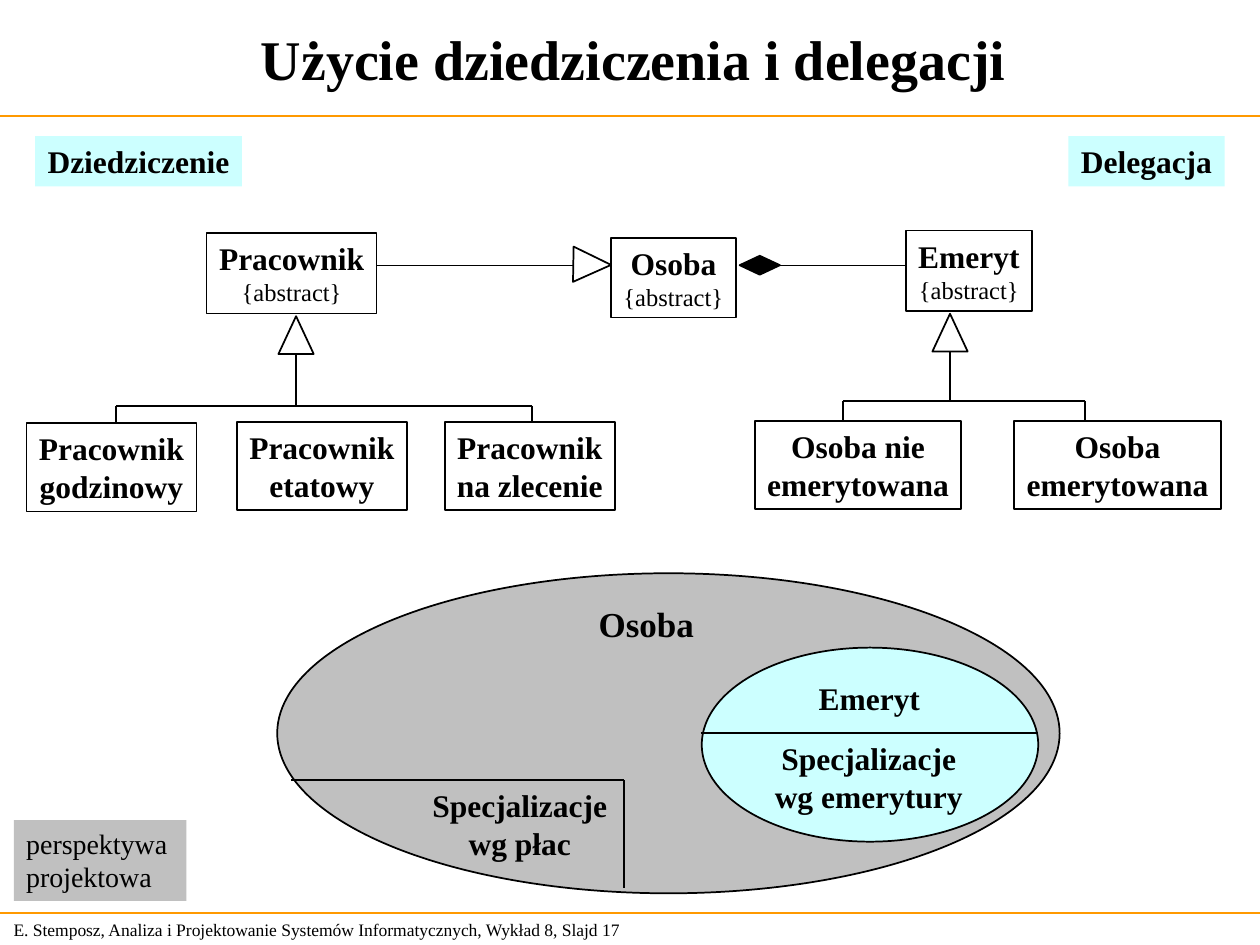
import collections

import lxml.etree
import pptx
import pptx.dml.color
import pptx.enum.shapes
import pptx.enum.text
import pptx.oxml.ns
import pptx.util

COLORS = {"ink": "000000", "paper": "FFFFFF", "rule": "FF9900",
          "aqua": "CCFFFF", "gray": "C0C0C0"}
FONT = "Times New Roman"
CELL = pptx.util.Inches(0.1)  # the slide is a grid of 100 columns by 75 rows
COLUMNS, ROWS = 100, 75

SHAPE = pptx.enum.shapes.MSO_SHAPE
ALIGN = pptx.enum.text.PP_ALIGN
ANCHOR = pptx.enum.text.MSO_ANCHOR
Box = collections.namedtuple("Box", "left top width height")


def color(name):
    return pptx.dml.color.RGBColor.from_string(COLORS[name])


def cells(*values):
    return [round(value * CELL) for value in values]


def inside(box, left, top, width, height):
    """Box measured from the corner of another box."""
    return Box(box.left + left, box.top + top, width, height)


def write(shape, lines, sizes, bolds, align=ALIGN.CENTER, anchor=ANCHOR.TOP, wrap=False):
    frame = shape.text_frame
    frame.word_wrap = wrap
    frame.vertical_anchor = anchor
    frame.text = "\n".join(lines)
    for paragraph, size, bold in zip(frame.paragraphs, sizes, bolds):
        paragraph.alignment = align
        paragraph.font.name = FONT
        paragraph.font.size = pptx.util.Pt(size)
        paragraph.font.bold = bold
        paragraph.font.color.rgb = color("ink")


def add_figure(slide, kind, box, fill="paper", line=1):
    shape = slide.shapes.add_shape(kind, *cells(*box))
    shape.shadow.inherit = False
    shape.fill.solid()
    shape.fill.fore_color.rgb = color(fill)
    if line:
        shape.line.color.rgb = color("ink")
        shape.line.width = pptx.util.Pt(line)
    else:
        shape.line.fill.background()
    return shape


def add_line(slide, box, start, end, width=1, ink="ink"):
    """Straight line between two points measured from the box corner."""
    points = [box.left + start[0], box.top + start[1], box.left + end[0], box.top + end[1]]
    connector = slide.shapes.add_connector(
        pptx.enum.shapes.MSO_CONNECTOR.STRAIGHT, *cells(*points))
    connector.line.color.rgb = color(ink)
    connector.line.width = pptx.util.Pt(width)
    lxml.etree.SubElement(connector._element.spPr, pptx.oxml.ns.qn("a:effectLst"))
    return connector


def add_label(slide, box, lines, size=18, fill=None, bold=True, align=ALIGN.CENTER):
    if fill:
        shape = add_figure(slide, SHAPE.RECTANGLE, box, fill, line=None)
    else:
        shape = slide.shapes.add_textbox(*cells(*box))
    write(shape, lines, [size] * len(lines), [bold] * len(lines), align)


def add_class(slide, box, lines, line=1, abstract=False):
    shape = add_figure(slide, SHAPE.RECTANGLE, box, line=line)
    second = (14, False) if abstract else (18, True)
    write(shape, lines, [18, second[0]], [True, second[1]])


def build_header(slide, box):
    title = slide.shapes.title
    title.left, title.top, title.width, title.height = cells(
        *inside(box, 8.9, 0, 82.8, box.height))
    write(title, ["Użycie dziedziczenia i delegacji"], [32], [True],
          anchor=ANCHOR.MIDDLE, wrap=True)
    add_line(slide, box, (0, box.height), (box.width, box.height), 0.75, "rule")


def build_footer(slide, box):
    add_line(slide, box, (0, 0), (box.width, 0), 0.75, "rule")
    add_label(slide, inside(box, 0.1, 0, 52.4, box.height),
              ["E. Stemposz, Analiza i Projektowanie Systemów Informatycznych, "
               "Wykład 8, Slajd 17"], 10, bold=False, align=ALIGN.LEFT)


def build_tree(slide, box, root, root_box, stem, bus, drops, children, child_width, child_tops, child_lefts):
    """Abstract class with its subclasses; bus is the row of the shared line."""
    arrow_top = root_box.top + root_box.height + 0.2
    arrow = inside(box, stem - 1.4, arrow_top, 2.8, 3)
    add_figure(slide, SHAPE.ISOSCELES_TRIANGLE, arrow)
    add_line(slide, box, (stem, arrow_top + 3), (stem, bus), 0.75)
    add_line(slide, box, (drops[0], bus), (drops[-1], bus))
    for drop in drops:
        add_line(slide, box, (drop, bus), (drop, child_tops[0]))
    for lines, left, top in zip(children, child_lefts, child_tops):
        add_class(slide, inside(box, left, top, child_width, 7), lines)
    add_class(slide, inside(box, *root_box), [root, "{abstract}"], 0.75, abstract=True)


def build_person(slide, box):
    """Central class with inheritance on its left and composition on its right."""
    add_line(slide, box, (0, 2.8), (16, 2.8), 0.75)
    arrow = add_figure(slide, SHAPE.ISOSCELES_TRIANGLE, inside(box, 15.8, 1.2, 2.8, 3))
    arrow.rotation = 91
    add_class(slide, inside(box, 18.7, 0.6, 9.9, 6.3), ["Osoba", "{abstract}"], abstract=True)
    diamond = add_figure(slide, SHAPE.DIAMOND, inside(box, 28.9, 2, 3.2, 1.5), "ink")
    link = add_line(slide, box, (32.1, 2.75), (box.width, 2.75), 0.75)
    link.begin_connect(diamond, 3)


def build_sets(slide, box):
    """Nested sets of people and their specialisations."""
    add_figure(slide, SHAPE.OVAL, box, "gray")
    add_figure(slide, SHAPE.OVAL, inside(box, 33.7, 5.9, 26.7, 15.4), "aqua")
    add_label(slide, inside(box, 24.5, 1.8, 9.6, 4.4), ["Osoba"], 20)
    add_label(slide, inside(box, 41, 7.9, 12, 4), ["Emeryt"])
    add_label(slide, inside(box, 11.3, 16.4, 15.9, 7), ["Specjalizacje", "wg płac"])
    add_label(slide, inside(box, 38.5, 12.7, 16.9, 7), ["Specjalizacje", "wg emerytury"])
    add_line(slide, box, (1.1, 16.4), (27.5, 16.4))
    add_line(slide, box, (27.5, 16.4), (27.5, 25))
    add_line(slide, box, (33.6, 12.7), (60.4, 12.7))


def main():
    presentation = pptx.Presentation()
    presentation.slide_width, presentation.slide_height = cells(COLUMNS, ROWS)
    slide = presentation.slides.add_slide(presentation.slide_layouts[5])

    build_header(slide, Box(0, 0, COLUMNS, 9.2))
    build_footer(slide, Box(0, 72.46, COLUMNS, 2.7))

    # Section labels
    add_label(slide, Box(2.8, 10.8, 16.4, 4), ["Dziedziczenie"], fill="aqua")
    add_label(slide, Box(84.8, 10.8, 12.4, 4), ["Delegacja"], fill="aqua")

    build_sets(slide, Box(22, 45.5, 62.1, 25.4))

    # Class diagram
    build_person(slide, Box(29.8, 18.3, 42.2, 7))
    build_tree(slide, Box(2.1, 18.5, 46.8, 22.1), "Pracownik", Box(14.3, 0, 13.5, 6.4),
               stem=21.4, bus=13.7, drops=(7.1, 40.1),
               children=(("Pracownik", "godzinowy"), ("Pracownik", "etatowy"),
                         ("Pracownik", "na zlecenie")),
               child_width=13.5, child_tops=(15.1, 15, 15), child_lefts=(0, 16.7, 33.2))
    build_tree(slide, Box(59.9, 18.3, 37, 22.1), "Emeryt", Box(12, 0, 10, 6.4),
               stem=15.5, bus=13.5, drops=(7, 26.2),
               children=(("Osoba nie", "emerytowana"), ("Osoba", "emerytowana")),
               child_width=16.4, child_tops=(15.1, 15.1), child_lefts=(0, 20.6))

    add_label(slide, Box(1.1, 65.1, 13.7, 6.4), ["perspektywa", "projektowa"], 16,
              "gray", bold=False, align=ALIGN.LEFT)

    presentation.save("out.pptx")


if __name__ == "__main__":
    main()
